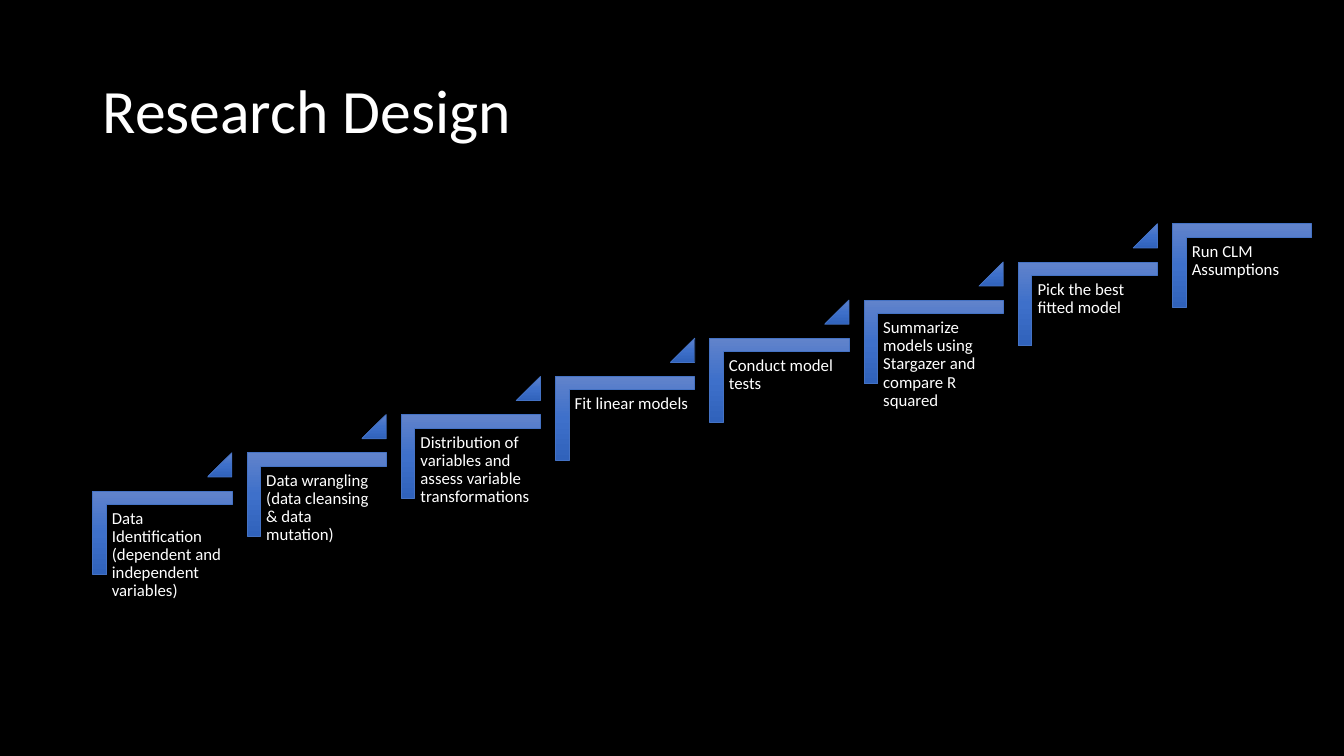
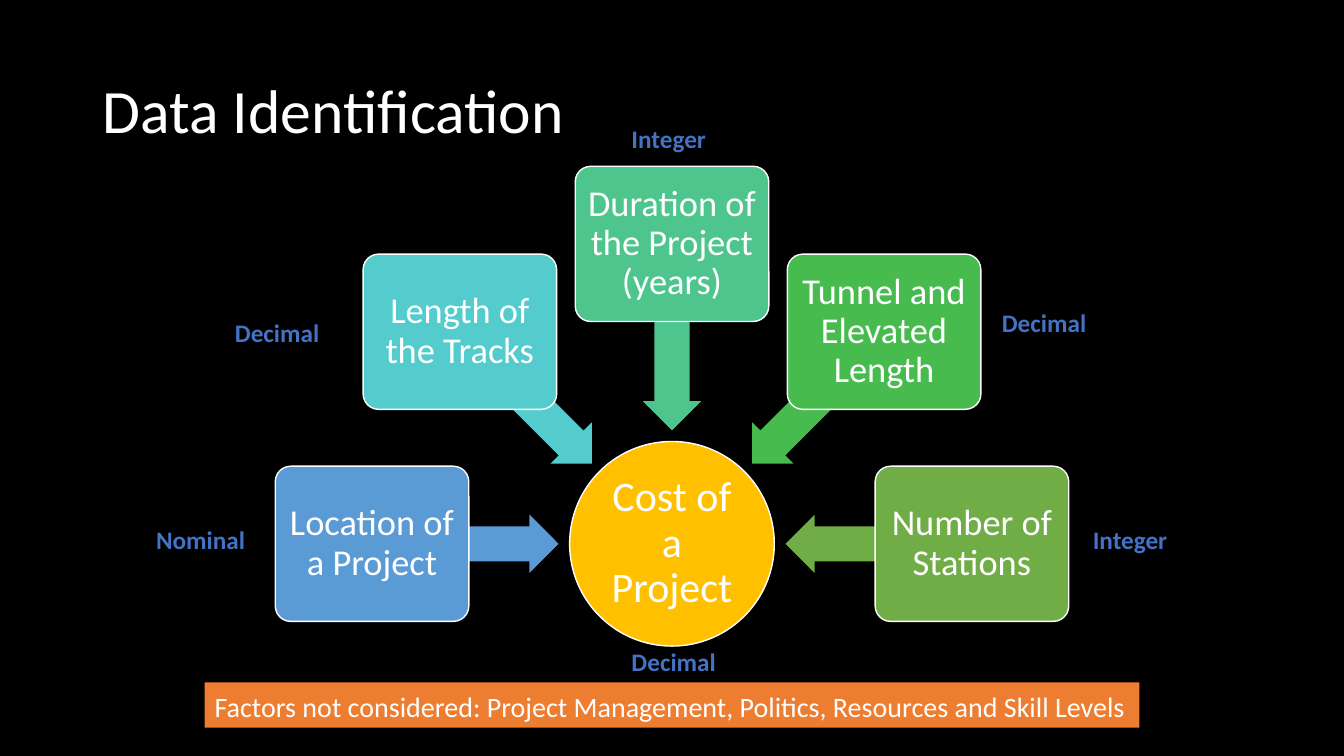
from dataclasses import dataclass
from math import cos, radians, sin

from lxml.etree import SubElement
from pptx import Presentation
from pptx.dml.color import RGBColor
from pptx.enum.shapes import MSO_SHAPE as SHAPE
from pptx.enum.text import MSO_ANCHOR as ANCHOR, PP_ALIGN as ALIGN
from pptx.oxml.ns import qn
from pptx.util import Pt

PX = 9144  # 100 px to the inch


@dataclass(frozen=True)
class Theme:
    font: str = "Calibri"
    back: str = "000000"
    text: str = "FFFFFF"
    accent: str = "4472C4"
    banner: str = "ED7D31"
    hub: str = "FFC000"
    gradient: tuple = ((0, "6183CB"), (50, "3E70CA"), (100, "3062BB"))
    title_size: int = 44
    hub_size: int = 30
    factor_size: int = 26
    banner_size: int = 20
    label_size: int = 18
    step_size: int = 12


THEME = Theme()

STEPS = (
    "Data Identification (dependent and independent variables)",
    "Data wrangling (data cleansing & data mutation)",
    "Distribution of variables and assess variable transformations",
    "Fit linear models",
    "Conduct model tests",
    "Summarize models using Stargazer and compare R squared",
    "Pick the best fitted model",
    "Run CLM Assumptions",
)

# text, colour, data type, offset of the type label from the box centre
FACTORS = (
    ("Location of a Project", "5B9BD5", "Nominal", (-224, -24)),
    ("Length of the Tracks", "54CCCD", "Decimal", (-233, -19)),
    ("Duration of the Project (years)", "4DC58D", "Integer", (-50, -125)),
    ("Tunnel and Elevated Length", "48BB4F", "Decimal", (107, -29)),
    ("Number of Stations", "70AD47", "Integer", (110, -24)),
)


def emu(*lengths):
    return [round(n * PX) for n in lengths]


def rgb(color):
    return RGBColor.from_string(color)


def centred(cx, cy, w, h):
    return cx - w / 2, cy - h / 2, w, h


def write(sp, text, size, color=THEME.text, bold=False, align=ALIGN.LEFT,
          anchor=ANCHOR.TOP, inset=(10, 5), spacing=1.0):
    tf = sp.text_frame
    tf.word_wrap = True
    tf.vertical_anchor = anchor
    tf.margin_left = tf.margin_right = inset[0] * PX
    tf.margin_top = tf.margin_bottom = inset[1] * PX
    tf.text = text
    p = tf.paragraphs[0]
    p.alignment = align
    p.line_spacing = spacing
    font = p.runs[0].font
    font.name, font.size, font.bold = THEME.font, Pt(size), bold
    font.color.rgb = rgb(color)


def add_text(slide, box, text, size, **style):
    write(slide.shapes.add_textbox(*emu(*box)), text, size, **style)


def add_shape(slide, kind, box, fill=None, line=None, width=1, adjust=(), rotation=0):
    sp = slide.shapes.add_shape(kind, *emu(*box))
    sp.shadow.inherit = False
    sp.rotation = rotation
    for i, value in enumerate(adjust):
        sp.adjustments[i] = value
    if fill:
        sp.fill.solid()
        sp.fill.fore_color.rgb = rgb(fill)
    if line:
        sp.line.color.rgb = rgb(line)
        sp.line.width = Pt(width)
    else:
        sp.line.fill.background()
    return sp


def add_gradient_shape(slide, kind, box, **options):
    """Add a shape whose gradient runs down the slide, even when it is rotated."""
    sp = add_shape(slide, kind, box, line=THEME.accent, width=0.5, **options)
    sp.fill.gradient()
    sp.fill.gradient_angle = 270
    grad = sp.element.spPr.find(qn("a:gradFill"))
    grad.set("rotWithShape", "0")
    stops = grad.find(qn("a:gsLst"))
    for stop in list(stops):
        stops.remove(stop)
    for percent, color in THEME.gradient:
        stop = SubElement(stops, qn("a:gs"), pos=str(percent * 1000))
        SubElement(stop, qn("a:srgbClr"), val=color)


def add_slide(prs, title):
    slide = prs.slides.add_slide(prs.slide_layouts[6])
    fill = slide.background.fill
    fill.solid()
    fill.fore_color.rgb = rgb(THEME.back)
    add_text(slide, (92, 40, 1150, 145), title, THEME.title_size,
             anchor=ANCHOR.MIDDLE, spacing=0.9)
    return slide


def add_step(slide, box, text, rise, is_last):
    x, y, w, h = box
    # The corner is turned a quarter, so its own width and height are swapped.
    add_gradient_shape(slide, SHAPE.CORNER, centred(x + w / 2, y + h / 2, h, w),
                       adjust=(0.161, 0.161), rotation=90)
    add_text(slide, (x + 14, y + 14, 125, 110), text, THEME.step_size,
             inset=(5, 5), spacing=0.9)
    if not is_last:
        side = 24
        add_gradient_shape(slide, SHAPE.ISOSCELES_TRIANGLE,
                           (x + w - side, y - rise, side, side), adjust=(1,))


def add_staircase(slide, box, steps):
    """Climb from the lower left of the box to its upper right."""
    x, y, w, h = box
    step_w, step_h = 138, 83
    last = len(steps) - 1
    run, rise = (w - step_w) / last, (h - step_h) / last
    for i, text in enumerate(steps):
        step_box = (x + i * run, y + h - step_h - i * rise, step_w, step_h)
        add_step(slide, step_box, text, rise, i == last)


def add_type_label(slide, centre, offset, text):
    (cx, cy), (dx, dy) = centre, offset
    add_text(slide, (cx + dx, cy + dy, 197, 40), text, THEME.label_size,
             color=THEME.accent, bold=True)


def add_radial(slide, box, hub_text, factors):
    """Set the factors on a half circle around a hub at the box's bottom centre."""
    x, y, w, h = box
    hub_d, card_w, card_h = 203, 192, 154
    hub_x, hub_y = x + w / 2, y + h - hub_d / 2
    radius, arrow_radius = (w - card_w) / 2, 205
    centre_text = dict(align=ALIGN.CENTER, anchor=ANCHOR.MIDDLE, spacing=0.9)

    hub = add_shape(slide, SHAPE.OVAL, centred(hub_x, hub_y, hub_d, hub_d),
                    THEME.hub, THEME.text)
    write(hub, hub_text, THEME.hub_size, inset=(2, 2), **centre_text)
    add_type_label(slide, (hub_x, hub_y), (-50, 97), "Decimal")

    for i, (text, color, data_type, offset) in enumerate(factors):
        angle = 180 + i * 180 / (len(factors) - 1)
        dx, dy = cos(radians(angle)), sin(radians(angle))
        arrow_box = centred(hub_x + arrow_radius * dx, hub_y + arrow_radius * dy, 185, 58)
        add_shape(slide, SHAPE.LEFT_ARROW, arrow_box, color,
                  adjust=(0.6, 0.5), rotation=angle % 360)
        centre = hub_x + radius * dx, hub_y + radius * dy
        card = add_shape(slide, SHAPE.ROUNDED_RECTANGLE, centred(*centre, card_w, card_h),
                         color, THEME.text, adjust=(0.1,))
        write(card, text, THEME.factor_size, inset=(5, 5), **centre_text)
        add_type_label(slide, centre, offset, data_type)


def add_banner(slide, box, text):
    sp = add_shape(slide, SHAPE.RECTANGLE, box, THEME.banner)
    write(sp, text, THEME.banner_size, spacing=1.07)


def main():
    prs = Presentation()
    prs.slide_width, prs.slide_height = emu(1333, 750)

    design = add_slide(prs, "Research Design")
    add_staircase(design, (92, 222, 1209, 348), STEPS)

    data = add_slide(prs, "Data Identification")
    add_banner(data, (203, 677, 927, 45),
               "Factors not considered: Project Management, Politics, Resources and Skill Levels")
    add_radial(data, (273, 165, 787, 476), "Cost of a Project", FACTORS)

    prs.save("out.pptx")


if __name__ == "__main__":
    main()
